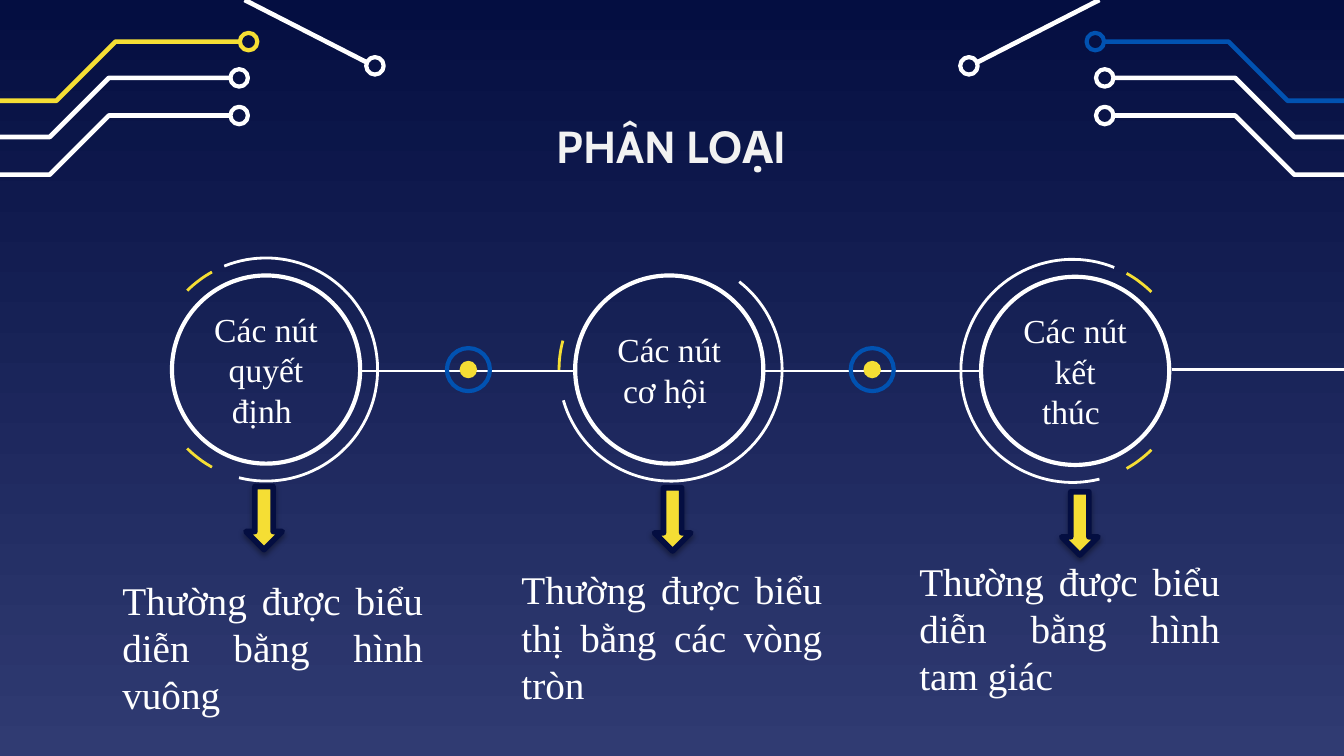
from dataclasses import dataclass
from math import cos, radians, sin

from lxml.etree import SubElement
from pptx import Presentation
from pptx.dml.color import RGBColor as Color
from pptx.enum.shapes import MSO_CONNECTOR as Connector, MSO_SHAPE as Preset
from pptx.enum.text import MSO_ANCHOR as Anchor, MSO_AUTO_SIZE as AutoSize, PP_ALIGN as Align
from pptx.oxml.ns import qn
from pptx.util import Inches, Pt


@dataclass(frozen=True)
class Theme:
    """Colours, fonts and sizes of the deck."""
    navy: str = "040E41"
    indigo: str = "303B72"
    yellow: str = "F5DE34"
    blue: str = "0152B1"
    white: str = "FFFFFF"
    title_color: str = "F2F2F2"
    title_font: str = "Cabin"
    text_font: str = "Times New Roman"
    title_size: float = 24
    label_size: float = 18
    caption_size: float = 21
    heavy: float = 2.25
    thin: float = 1.5


@dataclass(frozen=True)
class Stage:
    """Content and places of one node type; arcs are start and end angles."""
    label: str
    caption: str
    disc: tuple
    halo: tuple
    arrow: tuple
    caption_box: tuple
    arcs: tuple


THEME = Theme()
WIDTH = 10
HEIGHT = WIDTH * 9 / 16
LEFT_ARCS = ((104, -112), (135, 119), (225, 241))
MIDDLE_ARCS = tuple((start + 60, end + 60) for start, end in LEFT_ARCS[:2])
RIGHT_ARCS = tuple((180 - start, 180 - end) for start, end in LEFT_ARCS)
STAGES = (
    Stage("Các nút quyết định ", "Thường được biểu diễn bằng hình vuông",
          (1.28, 2.05), (1.98, 2.75), (1.83, 3.62), (0.81, 4.17, 2.44, 1.28), LEFT_ARCS),
    Stage("Các nút cơ hội ", "Thường được biểu thị bằng các vòng tròn",
          (4.28, 2.05), (4.99, 2.75), (4.87, 3.63), (3.78, 4.15, 2.44, 1.17), MIDDLE_ARCS),
    Stage("Các nút kết thúc ", "Thường được biểu diễn bằng hình tam giác",
          (7.3, 2.06), (7.98, 2.76), (7.9, 3.66), (6.74, 4.13, 2.44, 1.08), RIGHT_ARCS),
)


def set_line(shape, color, width):
    """Give a shape or connector a solid line."""
    shape.line.color.rgb = Color.from_string(color)
    shape.line.width = Pt(width)


def add_preset(slide, preset, box, fill=None, line=None, width=THEME.heavy):
    """Add a preset shape with an optional fill and line."""
    shape = slide.shapes.add_shape(preset, *map(Inches, box))
    shape.shadow.inherit = False
    if fill:
        shape.fill.solid()
        shape.fill.fore_color.rgb = Color.from_string(fill)
    else:
        shape.fill.background()
    if line:
        set_line(shape, line, width)
    else:
        shape.line.fill.background()
    return shape


def add_circle(slide, center, diameter, **style):
    """Add a circle around a centre point."""
    left, top = (value - diameter / 2 for value in center)
    return add_preset(slide, Preset.OVAL, (left, top, diameter, diameter), **style)


def add_outline(slide, points, color, width):
    """Add an open unfilled outline through the points."""
    start, *others = [(Inches(x), Inches(y)) for x, y in points]
    builder = slide.shapes.build_freeform(*start)
    builder.add_line_segments(others, close=False)
    shape = builder.convert_to_shape()
    shape.shadow.inherit = False
    shape.fill.background()
    set_line(shape, color, width)


def add_arc(slide, center, radius, start, end, color):
    """Add a circular arc between two angles in degrees."""
    steps = max(8, abs(end - start) // 3)
    angles = [radians(start + (end - start) * step / steps) for step in range(steps + 1)]
    points = [(center[0] + radius * cos(a), center[1] + radius * sin(a)) for a in angles]
    add_outline(slide, points, color, THEME.thin)


def add_line(slide, start_x, end_x, y):
    """Add a horizontal white connector."""
    line = slide.shapes.add_connector(Connector.STRAIGHT, *map(Inches, (start_x, y, end_x, y)))
    set_line(line, THEME.white, THEME.thin)
    SubElement(line._element.spPr, qn("a:effectLst"))


def write_text(shape, text, align, font, size, color, bold=False):
    """Write one formatted paragraph in a shape."""
    frame = shape.text_frame
    frame.text = text
    frame.word_wrap = True
    frame.auto_size = AutoSize.NONE
    frame.vertical_anchor = Anchor.MIDDLE
    frame.margin_left = frame.margin_right = frame.margin_top = frame.margin_bottom = Inches(0.1)
    paragraph = frame.paragraphs[0]
    paragraph.alignment = align
    paragraph.space_before = Pt(0)
    if shape.is_placeholder:
        properties = paragraph._p.get_or_add_pPr()
        properties.set("marL", "0")
        properties.set("indent", "0")
        SubElement(properties, qn("a:buNone"))
    paragraph.font.name, paragraph.font.size, paragraph.font.bold = font, Pt(size), bold
    paragraph.font.color.rgb = Color.from_string(color)


def place(shape, box):
    """Move and size a placeholder."""
    shape.left, shape.top, shape.width, shape.height = map(Inches, box)


def add_background(slide):
    """Fill the slide with a vertical gradient."""
    fill = slide.background.fill
    fill.gradient()
    fill.gradient_angle = 270
    for stop, color, position in zip(fill.gradient_stops, (THEME.navy, THEME.indigo), (0, 1)):
        stop.color.rgb = Color.from_string(color)
        stop.position = position


def add_circuit(slide, edge, direction, accent):
    """Draw the circuit traces running inward from one slide edge."""
    traces = (
        (((0, 0.75), (0.42, 0.75), (0.86, 0.31), (1.78, 0.31)), (1.85, 0.31), accent),
        (((0, 1.02), (0.37, 1.02), (0.81, 0.58), (1.72, 0.58)), (1.78, 0.58), THEME.white),
        (((0, 1.3), (0.37, 1.3), (0.81, 0.86), (1.72, 0.86)), (1.78, 0.86), THEME.white),
        (((1.82, 0), (2.74, 0.47)), (2.79, 0.49), THEME.white),
    )
    for points, end, color in traces:
        add_outline(slide, [(edge + direction * x, y) for x, y in points], color, 2.5)
        add_circle(slide, (edge + direction * end[0], end[1]), 0.13, line=color)


def add_link(slide, start_x, end_x, y):
    """Join two discs by a line with a ringed dot at its middle."""
    add_line(slide, start_x, end_x, y)
    center = ((start_x + end_x) / 2, y - 0.01)
    add_circle(slide, center, 0.32, line=THEME.blue)
    add_circle(slide, center, 0.13, fill=THEME.yellow)


def add_down_arrow(slide, left, top):
    """Add a yellow arrow with a soft shadow."""
    arrow = add_preset(slide, Preset.DOWN_ARROW, (left, top, 0.27, 0.47),
                       fill=THEME.yellow, line=THEME.navy, width=3)
    effects = arrow._element.spPr.find(qn("a:effectLst"))
    shadow = SubElement(effects, qn("a:outerShdw"), blurRad=str(Pt(3.1)), dist=str(Pt(1.6)),
                        dir="5400000", rotWithShape="0")
    color = SubElement(shadow, qn("a:srgbClr"), val="000000")
    SubElement(color, qn("a:alpha"), val="38000")


def add_stage(slide, stage, caption):
    """Draw a labelled disc with its halo, arrow and caption."""
    disc = add_preset(slide, Preset.OVAL, (*stage.disc, 1.4, 1.4), line=THEME.white)
    write_text(disc, stage.label, Align.CENTER, THEME.text_font, THEME.label_size, THEME.white)
    for index, (start, end) in enumerate(stage.arcs):
        color = THEME.yellow if index else THEME.white
        add_arc(slide, stage.halo, 0.83, start, end, color)
    add_down_arrow(slide, *stage.arrow)
    place(caption, stage.caption_box)
    write_text(caption, stage.caption, Align.JUSTIFY, THEME.text_font,
               THEME.caption_size, THEME.white)


def build_slide(presentation):
    """Build the classification slide."""
    slide = presentation.slides.add_slide(presentation.slide_layouts.get_by_name("Comparison"))
    title, *captions = slide.placeholders
    add_background(slide)
    add_circuit(slide, 0, 1, THEME.yellow)
    add_circuit(slide, WIDTH, -1, THEME.blue)
    place(title, (2.25, 0.59, 5.49, 0.99))
    write_text(title, "PHÂN LOẠI", Align.CENTER, THEME.title_font,
               THEME.title_size, THEME.title_color, bold=True)
    for stage, caption in zip(STAGES, captions):
        add_stage(slide, stage, caption)
    for unused in captions[len(STAGES):]:
        unused.element.getparent().remove(unused.element)
    add_link(slide, 2.69, 4.28, 2.76)
    add_link(slide, 5.68, 7.3, 2.76)
    add_line(slide, 8.72, WIDTH, 2.75)


def main():
    """Create and save the presentation."""
    presentation = Presentation()
    presentation.slide_width, presentation.slide_height = Inches(WIDTH), Inches(HEIGHT)
    build_slide(presentation)
    presentation.save("out.pptx")


if __name__ == "__main__":
    main()
